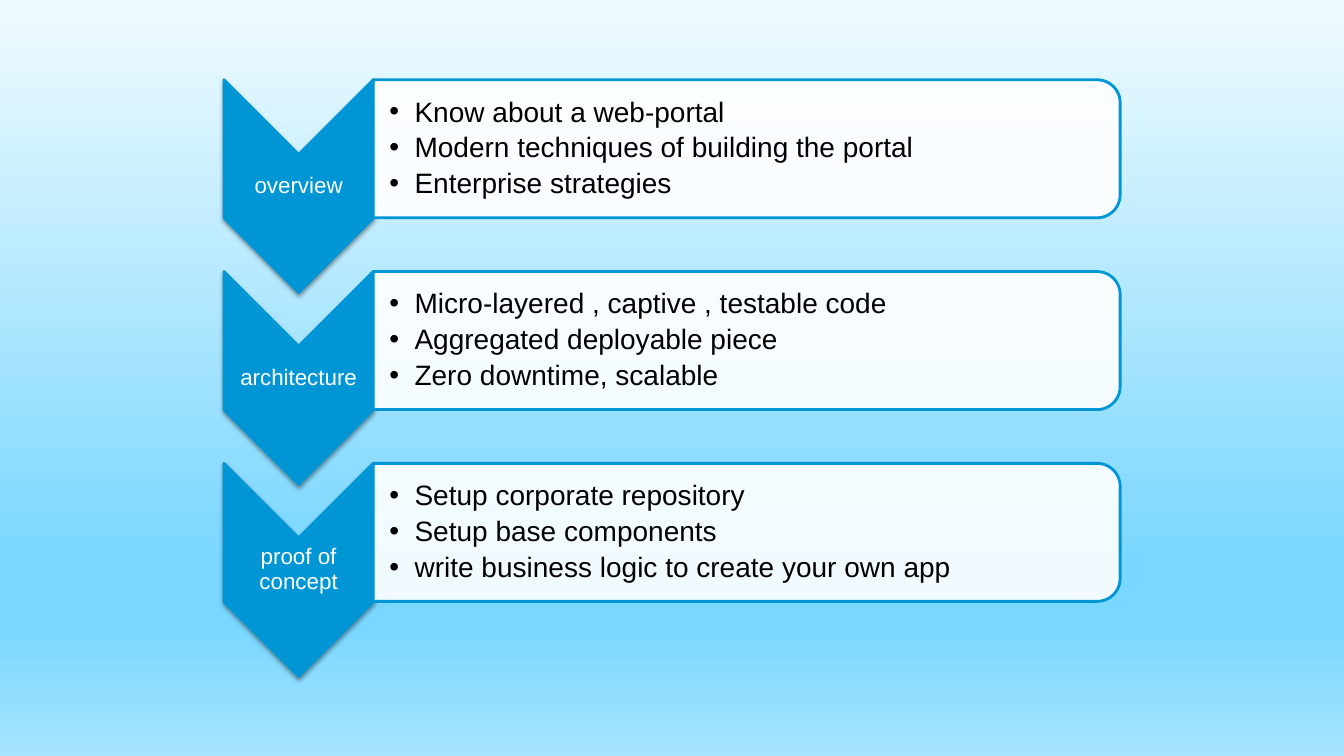
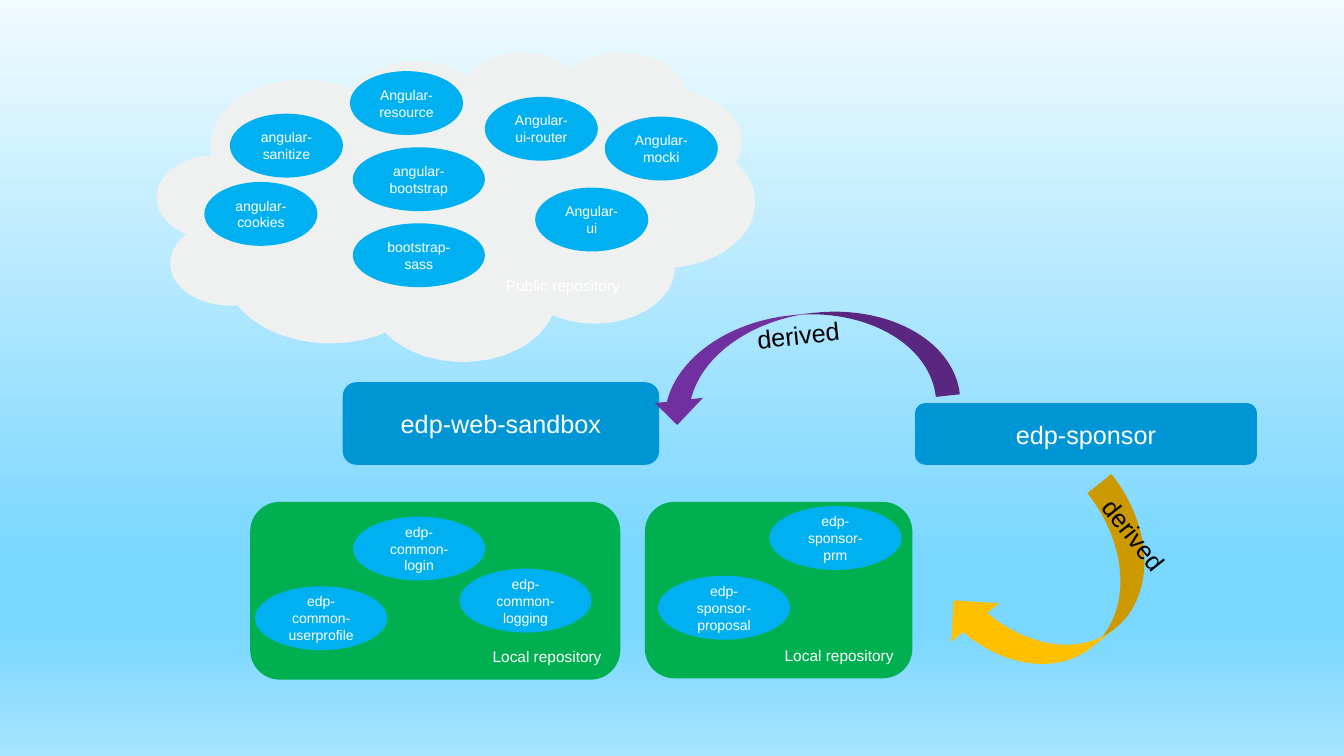
"""Build a two-slide deck: the agenda and the repository map."""
from dataclasses import dataclass
from typing import Optional

from lxml import etree
from pptx import Presentation
from pptx import util as u
from pptx.dml.color import RGBColor
from pptx.enum import shapes, text
from pptx.oxml import ns

Pt = u.Pt
Kind = shapes.MSO_SHAPE
Anchor = text.MSO_ANCHOR
Align = text.PP_ALIGN

FONT = "Arial"
BLUE = RGBColor(0x00, 0x96, 0xD6)
SKY = RGBColor(0x00, 0xB0, 0xF0)
GREEN = RGBColor(0x00, 0xB0, 0x50)
PURPLE = RGBColor(0x70, 0x30, 0xA0)
GOLD = RGBColor(0xFF, 0xC0, 0x00)
CLOUD = RGBColor(0xEF, 0xF1, 0xF1)
WHITE = RGBColor(0xFF, 0xFF, 0xFF)
BLACK = RGBColor(0x00, 0x00, 0x00)
BACKDROP = [
    (0, RGBColor(0xF0, 0xFB, 0xFF)),
    (74, RGBColor(0x7A, 0xD7, 0xFF)),
    (83, RGBColor(0x7A, 0xD7, 0xFF)),
    (100, RGBColor(0xA6, 0xE4, 0xFF)),
]

ROW_LEFT, ROW_TOP, ROW_PITCH = 160, 57, 137
CHEVRON_WIDTH, CHEVRON_HEIGHT = 106.6, 152
PANEL_WIDTH, PANEL_HEIGHT = 533.5, 98.6
NARROW, WIDE, OVAL_HEIGHT = 80.8, 94.4, 45.6


@dataclass(frozen=True)
class Box:
    left: float
    top: float
    width: float
    height: float

    def lengths(self) -> list:
        return [Pt(value) for value in (self.left, self.top, self.width, self.height)]

    def turned(self) -> "Box":
        shift = (self.width - self.height) / 2
        return Box(self.left + shift, self.top - shift, self.height, self.width)


@dataclass(frozen=True)
class Topic:
    label: str
    points: str


@dataclass(frozen=True)
class Library:
    name: str
    left: float
    top: float
    width: float = WIDE


@dataclass(frozen=True)
class Block:
    kind: Kind
    box: Box
    color: RGBColor
    label: str
    size: float
    anchor: Anchor = Anchor.MIDDLE
    align: Align = Align.CENTER


@dataclass(frozen=True)
class Arrow:
    box: Box
    color: RGBColor
    rotation: float
    flipped: bool = False
    direction: Optional[str] = None


TOPICS = [
    Topic("overview", "Know about a web-portal\n"
          "Modern techniques of building the portal\nEnterprise strategies"),
    Topic("architecture", "Micro-layered , captive , testable code\n"
          "Aggregated deployable piece\nZero downtime, scalable"),
    Topic("proof of concept", "Setup corporate repository\nSetup base components\n"
          "write business logic to create your own app"),
]

BLOCKS = [
    Block(Kind.CLOUD, Box(112.3, 36.7, 427, 221), CLOUD, "Public repository", 11,
          Anchor.BOTTOM, Align.RIGHT),
    Block(Kind.ROUNDED_RECTANGLE, Box(244.8, 273, 226, 59), BLUE, "edp-web-sandbox", 18),
    Block(Kind.ROUNDED_RECTANGLE, Box(653.6, 288, 244.2, 44), BLUE, "edp-sponsor", 18),
    Block(Kind.ROUNDED_RECTANGLE, Box(178.7, 358.5, 264.4, 127), GREEN,
          "Local repository", 11, Anchor.BOTTOM, Align.RIGHT),
    Block(Kind.ROUNDED_RECTANGLE, Box(460.7, 358.5, 191, 126), GREEN,
          "Local repository", 11, Anchor.BOTTOM, Align.RIGHT),
]

LIBRARIES = [
    Library("bootstrap-sass", 252, 159.5),
    Library("Angular-ui-router", 346.3, 69.2, NARROW),
    Library("Angular-ui", 382.3, 134, NARROW),
    Library("angular-bootstrap", 252, 105.2),
    Library("angular-sanitize", 164.2, 81.2, NARROW),
    Library("angular-cookies", 146, 130, NARROW),
    Library("Angular-resource", 250, 50.8, NARROW),
    Library("Angular-mocki", 432, 83.3, NARROW),
    Library("edp-common-userprofile", 182.2, 418.8),
    Library("edp-common-login", 252.2, 369),
    Library("edp-common-logging", 328.2, 406.2),
    Library("edp-sponsor-proposal", 470, 411.3),
    Library("edp-sponsor-prm", 549.5, 361.5),
]

ARROWS = [
    Arrow(Box(673.2, 380.9, 166.3, 87.8), GOLD, 141.3, direction="vert270"),
    Arrow(Box(462.2, 224.6, 220.3, 69.1), PURPLE, 173.8, flipped=True),
]


def add_node(parent, tag: str, **attributes):
    node = etree.SubElement(parent, ns.qn(tag))
    for name, value in attributes.items():
        node.set(name, str(value))
    return node


def paint_background(deck) -> None:
    master = deck.slide_master
    fill = master.background.fill
    fill.gradient()
    fill.gradient_angle = 270
    stops = master.element.find(".//" + ns.qn("a:gsLst"))
    for stop in list(stops):
        stops.remove(stop)
    for position, color in BACKDROP:
        stop = add_node(stops, "a:gs", pos=position * 1000)
        add_node(stop, "a:srgbClr", val=color)


def write(shape, content: str, *, size: float, color: RGBColor = WHITE,
          align: Align = Align.CENTER, anchor: Anchor = Anchor.MIDDLE,
          spacing: float = 1, after: float = 0, bulleted: bool = False) -> None:
    frame = shape.text_frame
    frame.word_wrap = True
    frame.vertical_anchor = anchor
    for index, line in enumerate(content.split("\n")):
        para = frame.add_paragraph() if index else frame.paragraphs[0]
        para.alignment = align
        para.line_spacing = spacing
        para.space_after = Pt(after)
        if bulleted:
            settings = para._p.get_or_add_pPr()
            settings.set("marL", str(Pt(18)))
            settings.set("indent", str(-Pt(18)))
            add_node(settings, "a:buFont", typeface=FONT)
            add_node(settings, "a:buChar", char="•")
        span = para.add_run()
        span.text = line
        span.font.name = FONT
        span.font.size = Pt(size)
        span.font.color.rgb = color


def draw_shape(page, kind: Kind, box: Box, color: RGBColor,
               outline: Optional[RGBColor] = None, rotation: float = 0):
    shape = page.shapes.add_shape(kind, *box.lengths())
    shape.shadow.inherit = False
    shape.rotation = rotation
    shape.fill.solid()
    shape.fill.fore_color.rgb = color
    if outline is None:
        shape.line.fill.background()
    else:
        shape.line.color.rgb = outline
        shape.line.width = Pt(2)
    return shape


def draw_text(page, box: Box, content: str, left_inset: float = 0.7, **style) -> None:
    area = page.shapes.add_textbox(*box.lengths())
    frame = area.text_frame
    frame.margin_left = Pt(left_inset)
    frame.margin_right = frame.margin_top = frame.margin_bottom = Pt(0.7)
    write(area, content, spacing=0.9, **style)


def cast_shadow(shape) -> None:
    effects = shape.element.spPr.find(ns.qn("a:effectLst"))
    shadow = add_node(effects, "a:outerShdw", blurRad=Pt(3.1), dist=Pt(1.6),
                      dir=5400000, rotWithShape=0)
    tone = add_node(shadow, "a:srgbClr", val=BLACK)
    add_node(tone, "a:alpha", val=38000)


def draw_topic(page, topic: Topic, top: float) -> None:
    chevron_box = Box(ROW_LEFT, top, CHEVRON_WIDTH, CHEVRON_HEIGHT)
    chevron = draw_shape(page, Kind.CHEVRON, chevron_box.turned(), BLUE, BLUE, 90)
    cast_shadow(chevron)
    notch = CHEVRON_WIDTH / 2
    label_box = Box(ROW_LEFT, top + notch, CHEVRON_WIDTH, CHEVRON_HEIGHT - 2 * notch)
    draw_text(page, label_box, topic.label, size=16)

    panel_box = Box(ROW_LEFT + CHEVRON_WIDTH, top, PANEL_WIDTH, PANEL_HEIGHT)
    panel = draw_shape(page, Kind.ROUND_2_SAME_RECTANGLE, panel_box.turned(),
                       WHITE, BLUE, 90)
    tint = panel.element.spPr.find(ns.qn("a:solidFill") + "/" + ns.qn("a:srgbClr"))
    add_node(tint, "a:alpha", val=90000)
    draw_text(page, panel_box, topic.points, left_inset=11.5, size=20, color=BLACK,
              align=Align.LEFT, after=4, bulleted=True)


def draw_arrow(page, arrow: Arrow) -> None:
    shape = draw_shape(page, Kind.CURVED_DOWN_ARROW, arrow.box, arrow.color,
                       rotation=arrow.rotation)
    write(shape, "derived", size=18, color=BLACK, anchor=Anchor.TOP)
    if arrow.flipped:
        shape.element.spPr.find(ns.qn("a:xfrm")).set("flipV", "1")
    if arrow.direction:
        shape.element.find(".//" + ns.qn("a:bodyPr")).set("vert", arrow.direction)


def build_agenda(page) -> None:
    for index, topic in enumerate(TOPICS):
        draw_topic(page, topic, ROW_TOP + index * ROW_PITCH)


def build_repository_map(page) -> None:
    for block in BLOCKS:
        shape = draw_shape(page, block.kind, block.box, block.color)
        write(shape, block.label, size=block.size, anchor=block.anchor, align=block.align)
    for library in LIBRARIES:
        box = Box(library.left, library.top, library.width, OVAL_HEIGHT)
        write(draw_shape(page, Kind.OVAL, box, SKY), library.name, size=10)
    for arrow in ARROWS:
        draw_arrow(page, arrow)


def main() -> None:
    deck = Presentation()
    deck.slide_width, deck.slide_height = Pt(960), Pt(540)
    paint_background(deck)
    for build in (build_agenda, build_repository_map):
        build(deck.slides.add_slide(deck.slide_layouts[6]))
    deck.save("out.pptx")


if __name__ == "__main__":
    main()
